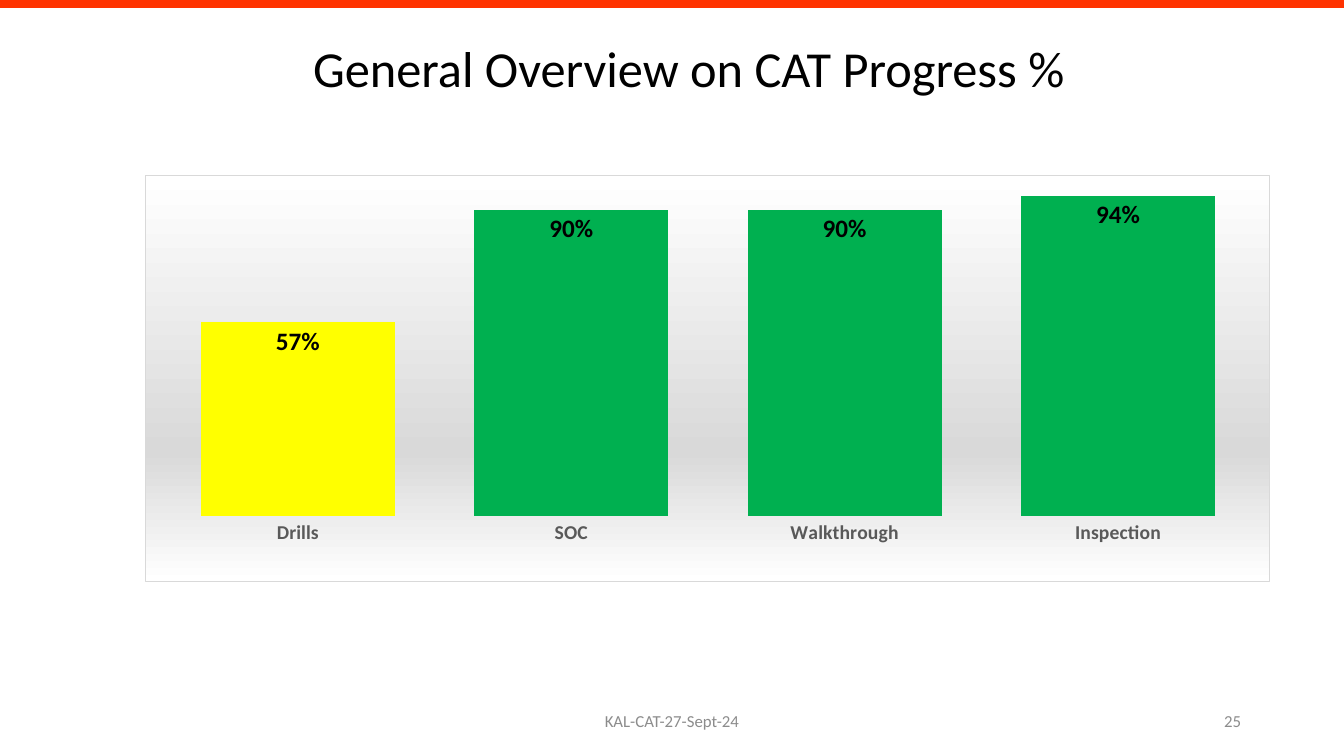
"""Builds the slide with the overview of CAT progress by activity."""
from lxml import etree
from pptx import Presentation, util as u
from pptx.chart.data import CategoryChartData
from pptx.dml.color import RGBColor
from pptx.enum import chart as ch, shapes, text
from pptx.oxml import ns

SLIDE_W, SLIDE_H = 1344, 756
EMU_PER_PX = 12192000 / SLIDE_W
FONT = "Calibri"
BLACK = RGBColor(0x00, 0x00, 0x00)
RED = RGBColor(0xFF, 0x33, 0x00)
GREEN = RGBColor(0x00, 0xB0, 0x50)
YELLOW = RGBColor(0xFF, 0xFF, 0x00)
DARK_GREY = RGBColor(0x59, 0x59, 0x59)
FOOTER_GREY = RGBColor(0x8C, 0x8C, 0x8C)
WHITE = RGBColor(0xFF, 0xFF, 0xFF)
PALE_GREY = RGBColor(0xD9, 0xD9, 0xD9)

PROGRESS = [
    ("Inspection", 0.94, GREEN),
    ("Walkthrough", 0.90, GREEN),
    ("SOC", 0.90, GREEN),
    ("Drills", 0.57, YELLOW),
]
BACKDROP_STOPS = [(0, WHITE), (68, PALE_GREY), (100, WHITE)]
PLOT_AREA = {"x": 0.014, "y": 0, "w": 0.973, "h": 0.84}


def px(*lengths):
    """Turn pixel lengths into EMU."""
    return [u.Emu(round(length * EMU_PER_PX)) for length in lengths]


def set_font(font, size, color, bold=False):
    """Apply the slide's typeface with a size, colour and weight."""
    for name, value in {"name": FONT, "size": u.Pt(size), "bold": bold}.items():
        setattr(font, name, value)
    font.color.rgb = color


def write(frame, wording, size, color, align, anchor):
    """Put one formatted paragraph into a text frame."""
    for name, value in {"word_wrap": True, "vertical_anchor": anchor,
                        "text": wording}.items():
        setattr(frame, name, value)
    line = frame.paragraphs[0]
    line.alignment = align
    set_font(line.runs[0].font, size, color)


def add_top_band(slide):
    """Draw the red band along the top edge."""
    band = slide.shapes.add_shape(shapes.MSO_SHAPE.RECTANGLE, *px(0, 0, SLIDE_W, 8))
    band.shadow.inherit = False
    band.fill.solid()
    band.fill.fore_color.rgb = RED
    band.line.fill.background()


def add_title(slide, wording):
    """Place and format the title placeholder."""
    title = slide.shapes.title
    title.left, title.top, title.width, title.height = px(303, 32, 890, 72)
    write(title.text_frame, wording, 36, BLACK,
          text.PP_ALIGN.LEFT, text.MSO_ANCHOR.TOP)


def add_footer(slide, wording, left, width, align):
    """Add one grey text in the footer row."""
    footer = slide.shapes.add_textbox(*px(left, 701, width, 40))
    write(footer.text_frame, wording, 12, FOOTER_GREY, align,
          text.MSO_ANCHOR.MIDDLE)


def add_backdrop(chart):
    """Give the chart area its gradient and thin border."""
    stops = "".join(f'<a:gs pos="{place * 1000}"><a:srgbClr val="{color}"/></a:gs>'
                    for place, color in BACKDROP_STOPS)
    backdrop = etree.fromstring(
        f'<c:spPr {ns.nsdecls("c", "a")}>'
        f'<a:gradFill><a:gsLst>{stops}</a:gsLst><a:lin ang="5400000" scaled="0"/>'
        f'</a:gradFill><a:ln w="{u.Pt(0.75)}"><a:solidFill>'
        f'<a:srgbClr val="{PALE_GREY}"/></a:solidFill></a:ln></c:spPr>')
    chart._chartSpace.find(ns.qn("c:chart")).addnext(backdrop)


def place_plot(chart):
    """Fix the inner plot area as shares of the chart."""
    plot_area = chart._chartSpace.find(".//" + ns.qn("c:plotArea"))
    for layout in plot_area.findall(ns.qn("c:layout")):
        plot_area.remove(layout)
    modes = '<c:xMode val="edge"/><c:yMode val="edge"/>'
    shares = "".join(f'<c:{side} val="{share}"/>' for side, share in PLOT_AREA.items())
    plot_area.insert(0, etree.fromstring(
        f'<c:layout {ns.nsdecls("c")}><c:manualLayout><c:layoutTarget val="inner"/>'
        f'{modes}{shares}</c:manualLayout></c:layout>'))


def format_axes(chart):
    """Show only the category names, from right to left."""
    activities, percent = chart.category_axis, chart.value_axis
    no_ticks = ch.XL_TICK_MARK.NONE
    for name, value in {"reverse_order": True, "major_tick_mark": no_ticks,
                        "minor_tick_mark": no_ticks}.items():
        setattr(activities, name, value)
    activities.format.line.fill.background()
    set_font(activities.tick_labels.font, 14, DARK_GREY, True)
    for name, value in {"minimum_scale": 0, "maximum_scale": 1, "visible": False,
                        "has_major_gridlines": False}.items():
        setattr(percent, name, value)
    percent.tick_labels.number_format = "0%"
    percent.tick_labels.number_format_is_linked = False


def format_columns(plot):
    """Colour each column and label it inside its end."""
    plot.gap_width = 41
    plot.vary_by_categories = False
    columns = plot.series[0]
    for index, (_, _, color) in enumerate(PROGRESS):
        fill = columns.points[index].format.fill
        fill.solid()
        fill.fore_color.rgb = color
    labels = columns.data_labels
    for name, value in {"show_value": True, "number_format": "0%",
                        "number_format_is_linked": False,
                        "position": ch.XL_LABEL_POSITION.INSIDE_END}.items():
        setattr(labels, name, value)
    set_font(labels.font, 18, BLACK, True)


def add_progress_chart(slide):
    """Add the column chart of progress by activity."""
    progress = CategoryChartData(number_format="0%")
    progress.categories = [activity for activity, _, _ in PROGRESS]
    progress.add_series("Series 1", [share for _, share, _ in PROGRESS])
    chart = slide.shapes.add_chart(ch.XL_CHART_TYPE.COLUMN_CLUSTERED,
                                   *px(145, 175, 1125, 407), progress).chart
    chart.has_title = False
    chart.has_legend = False
    set_font(chart.font, 10, BLACK)
    format_axes(chart)
    format_columns(chart.plots[0])
    place_plot(chart)
    add_backdrop(chart)


def main():
    """Build and save the slide."""
    deck = Presentation()
    deck.slide_width, deck.slide_height = px(SLIDE_W, SLIDE_H)
    slide = deck.slides.add_slide(deck.slide_layouts[5])
    add_top_band(slide)
    add_title(slide, "General Overview on CAT Progress %")
    add_progress_chart(slide)
    add_footer(slide, "KAL-CAT-27-Sept-24", 445, 454, text.PP_ALIGN.CENTER)
    add_footer(slide, "25", 949, 302, text.PP_ALIGN.RIGHT)
    deck.save("out.pptx")


if __name__ == "__main__":
    main()
